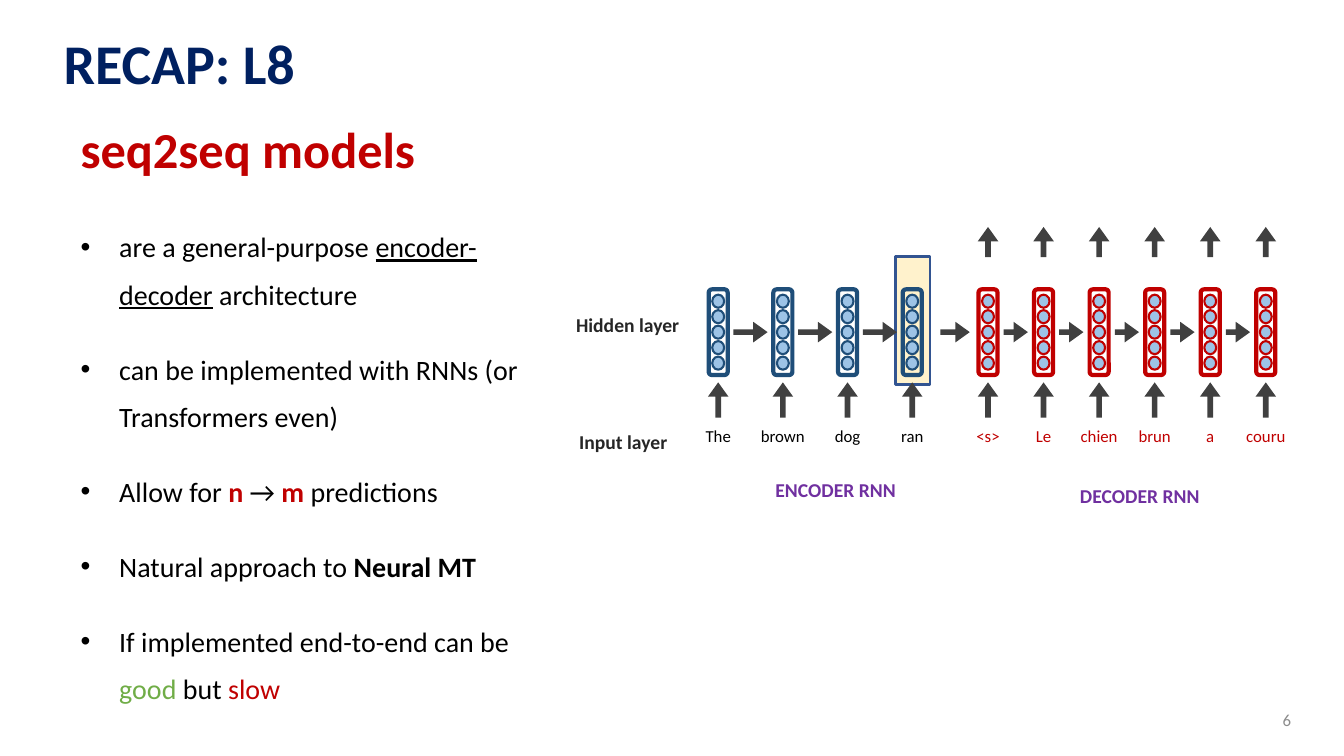
from dataclasses import dataclass

from pptx import Presentation
from pptx.dml.color import RGBColor
from pptx.enum.shapes import MSO_SHAPE as Kind
from pptx.enum.text import MSO_ANCHOR as Anchor, MSO_AUTO_SIZE as Fit, PP_ALIGN as Align
from pptx.util import Cm, Pt


@dataclass(frozen=True)
class Theme:
    """Colours and type sizes of the slide."""
    font: str = "Calibri"
    navy: str = "002060"
    red: str = "C00000"
    black: str = "000000"
    dark: str = "262626"
    grey: str = "8C8C8C"
    green: str = "70AD47"
    purple: str = "7030A0"
    blue: str = "1F4E79"
    sky: str = "9DC3E6"
    arrow: str = "404040"
    cream: str = "FFF2CC"
    frame: str = "325491"
    title: int = 40
    head: int = 36
    body: int = 20
    label: int = 14
    word: int = 12


T = Theme()
MID = 8.37
SOURCE = ["The", "brown", "dog", "ran"]
TARGET = ["<s>", "Le", "chien", "brun", "a", "couru"]
POINTS = [
    [("are a general-purpose ", {}), ("encoder-decoder", {"line": True}), (" architecture", {})],
    [("can be implemented with RNNs (or Transformers even)", {})],
    [("Allow for ", {}), ("n ", {"color": T.red, "bold": True}), ("→ ", {}),
     ("m ", {"color": T.red, "bold": True}), ("predictions", {})],
    [("Natural approach to ", {}), ("Neural MT", {"bold": True})],
    [("If implemented end-to-end can be ", {}), ("good", {"color": T.green}),
     (" but ", {}), ("slow", {"color": T.red})],
]


def style(font, size, color, bold=False):
    """Set the face, size, colour and weight of a font."""
    font.name, font.size, font.bold = T.font, Pt(size), bold
    font.color.rgb = RGBColor.from_string(color)


def place(shape, left, top, width, height):
    """Move and size a shape, in centimetres."""
    shape.left, shape.top = Cm(left), Cm(top)
    shape.width, shape.height = Cm(width), Cm(height)


def label(slide, text, area, size, color, bold=False, align=Align.CENTER, space=1.2):
    """Add a one-line text box."""
    box = slide.shapes.add_textbox(*map(Cm, area))
    box.text_frame.word_wrap = True
    para = box.text_frame.paragraphs[0]
    para.text, para.alignment, para.line_spacing = text, align, space
    style(para.font, size, color, bold)
    return box.text_frame


def draw(shapes, kind, x, y, width, height, fill=None, line=None, weight=1.5, turn=0):
    """Add a preset shape centred on a point."""
    shape = shapes.add_shape(kind, Cm(x - width / 2), Cm(y - height / 2), Cm(width), Cm(height))
    shape.shadow.inherit = False
    shape.rotation = turn
    if fill:
        shape.fill.solid()
        shape.fill.fore_color.rgb = RGBColor.from_string(fill)
    else:
        shape.fill.background()
    if line:
        shape.line.color.rgb = RGBColor.from_string(line)
        shape.line.width = Pt(weight)
    else:
        shape.line.fill.background()
    return shape


def arrow(slide, x, y, size, turn=0):
    """Add a block arrow, pointing right unless turned."""
    shape = draw(slide.shapes, Kind.RIGHT_ARROW, x, y, size, 0.52, T.arrow, turn=turn)
    shape.adjustments[0], shape.adjustments[1] = 0.276, 0.696


def cell(slide, x, color):
    """Add a hidden state with its five units and the arrow into it."""
    group = slide.shapes.add_group_shape().shapes
    draw(group, Kind.ROUNDED_RECTANGLE, x, MID, 2.16, 0.48, line=color, weight=3, turn=270)
    for step in range(-2, 3):
        draw(group, Kind.OVAL, x, MID + 0.39 * step, 0.33, 0.3, T.sky, color, turn=270)
    arrow(slide, x, 10.08, 0.89, 270)


def chain(slide, words, start, pitch, color, ink, size):
    """Add a row of linked cells over their words and return the centres."""
    spots = [start + pitch * i for i in range(len(words))]
    for x, word in zip(spots, words):
        cell(slide, x, color)
        label(slide, word, (x - 0.94, 10.49, 1.88, 0.79), T.word, ink)
    for x in spots[:-1]:
        arrow(slide, x + pitch / 2, MID, size)
    return spots


def bullets(holder):
    """Fill the body placeholder with the list."""
    place(holder, 1.78, 5.33, 12.14, 12.9)
    frame = holder.text_frame
    frame.auto_size = Fit.NONE
    for i, point in enumerate(POINTS):
        para = frame.add_paragraph() if i else frame.paragraphs[0]
        props = para._p.get_or_add_pPr()
        props.set("marL", str(Cm(0.97)))
        props.set("indent", str(Cm(-0.97)))
        para.line_spacing, para.space_before = 1.4, Pt(20 if i else 0)
        for text, look in point:
            run = para.add_run()
            run.text = text
            style(run.font, T.body, look.get("color", T.black), look.get("bold", False))
            if look.get("line"):
                run.font.underline = True


def heads(slide):
    """Set the title, the heading and the page number."""
    title = slide.shapes.title
    place(title, 1.35, 0.79, 15.6, 1.7)
    title.text = "RECAP: L8"
    title.text_frame.auto_size = Fit.NONE
    title.text_frame.vertical_anchor = Anchor.TOP
    para = title.text_frame.paragraphs[0]
    para.alignment, para.line_spacing = Align.LEFT, 0.9
    style(para.font, T.title, T.navy, True)
    label(slide, "seq2seq models", (1.78, 2.84, 9.88, 1.8), T.head, T.red, True, Align.LEFT, 1.0)
    page = label(slide, "6", (25.17, 17.63, 7.62, 1.02), T.word, T.grey,
                 align=Align.RIGHT, space=1.0)
    page.vertical_anchor = Anchor.MIDDLE


def model(slide):
    """Draw the encoder and the decoder with their labels."""
    draw(slide.shapes, Kind.RECTANGLE, 23, 8.07, 0.88, 3.23, T.cream, T.frame, 2)
    chain(slide, SOURCE, 18.1, 1.63, T.blue, T.black, 0.86)
    arrow(slide, 24.07, MID, 0.74)
    for x in chain(slide, TARGET, 24.9, 1.4, T.red, T.red, 0.61):
        arrow(slide, x, 6.1, 0.76, 270)
    for text, area, color, align in [
        ("Hidden layer", (12.47, 7.65, 4.9, 1.75), T.dark, Align.RIGHT),
        ("Input layer", (13.74, 10.59, 3.33, 0.74), T.dark, Align.RIGHT),
        ("ENCODER RNN", (18.42, 11.81, 5.28, 0.74), T.purple, Align.CENTER),
        ("DECODER RNN", (26.26, 11.96, 4.93, 0.74), T.purple, Align.CENTER),
    ]:
        label(slide, text, area, T.label, color, True, align)


def main():
    """Build and save the slide."""
    deck = Presentation()
    deck.slide_width, deck.slide_height = Cm(33.87), Cm(19.05)
    slide = deck.slides.add_slide(deck.slide_layouts[1])
    heads(slide)
    bullets(slide.placeholders[1])
    model(slide)
    deck.save("out.pptx")


if __name__ == "__main__":
    main()
